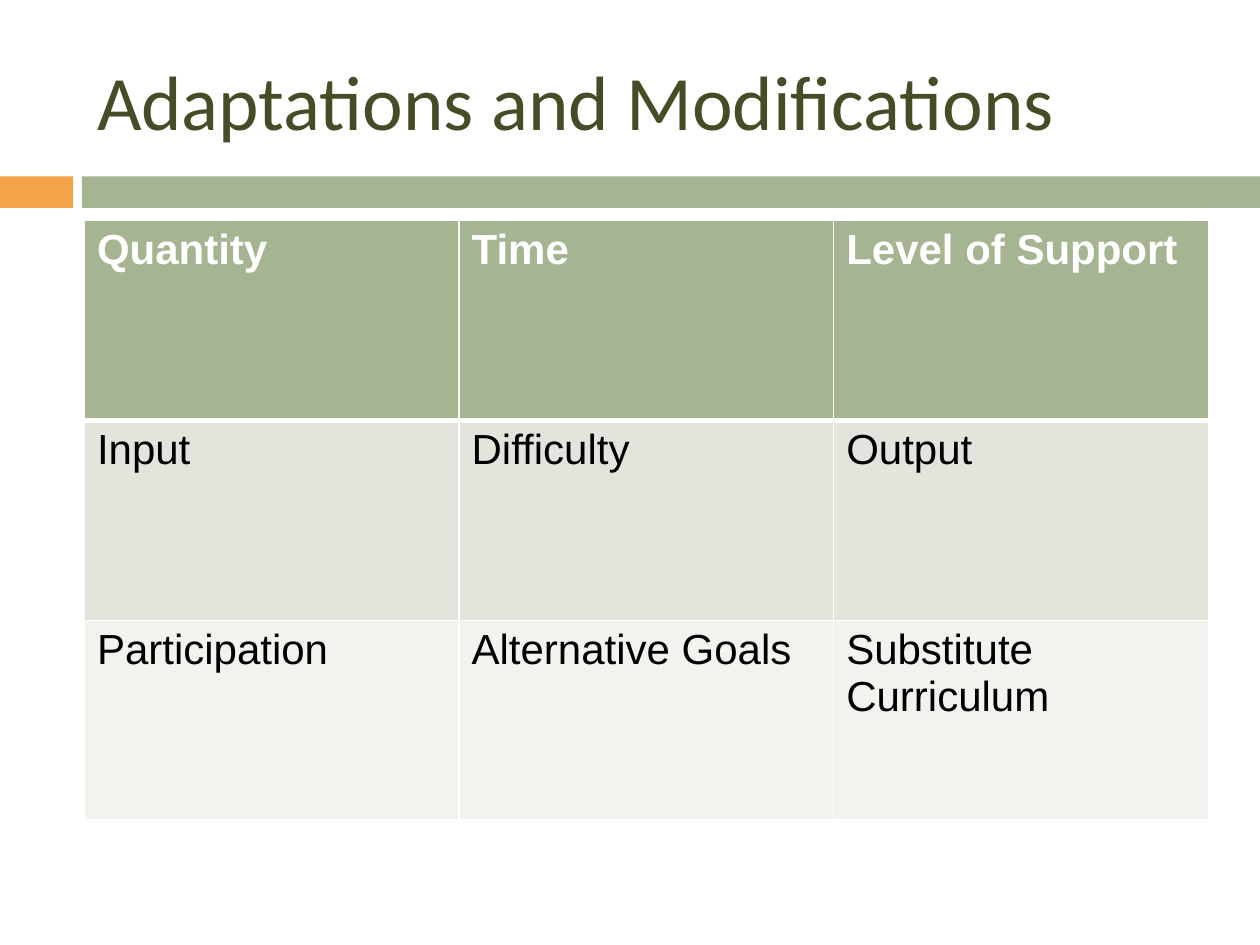
from dataclasses import dataclass

from lxml import etree
from pptx import Presentation
from pptx import util as u
from pptx.dml.color import RGBColor
from pptx.enum import shapes, text
from pptx.oxml.ns import qn


@dataclass(frozen=True)
class Theme:
    title: str = "444D26"
    accent: str = "F3A447"
    main: str = "A5B592"
    bands: tuple = ("E1E5DC", "F0F3EE")
    light: str = "FFFFFF"
    dark: str = "000000"
    head_font: str = "Calibri"
    body_font: str = "Arial"
    head_size: int = 44
    body_size: int = 24


class Deck:
    """Holds the theme and the current slide."""

    def __init__(self, theme):
        self.theme = theme
        self.prs = Presentation()
        self.prs.slide_width, self.prs.slide_height = u.Inches(10), u.Inches(7.5)
        self.slide = self.prs.slides.add_slide(self.prs.slide_layouts[5])

    def style(self, frame, font, size, color, bold=False):
        for para in frame.paragraphs:
            para.alignment = text.PP_ALIGN.LEFT
            for run in para.runs:
                run.font.name, run.font.size = font, u.Pt(size)
                run.font.bold = bold
                run.font.color.rgb = RGBColor.from_string(color)

    def bar(self, left, top, width, height, color):
        box = self.slide.shapes.add_shape(
            shapes.MSO_SHAPE.RECTANGLE,
            *map(u.Inches, (left, top, width, height)))
        box.shadow.inherit = False
        box.fill.solid()
        box.fill.fore_color.rgb = RGBColor.from_string(color)
        box.line.fill.background()

    def title(self, words, left, top, width, height):
        box = self.slide.shapes.title
        box.left, box.top, box.width, box.height = map(
            u.Inches, (left, top, width, height))
        frame = box.text_frame
        frame.text = words
        frame.auto_size = text.MSO_AUTO_SIZE.NONE
        frame.vertical_anchor = text.MSO_ANCHOR.MIDDLE
        t = self.theme
        self.style(frame, t.head_font, t.head_size, t.title)

    def border(self, cell, side, points):
        props = cell._tc.get_or_add_tcPr()
        line = etree.SubElement(props, qn(f"a:ln{side}"), w=str(u.Pt(points)))
        fill = etree.SubElement(line, qn("a:solidFill"))
        etree.SubElement(fill, qn("a:srgbClr"), val=self.theme.light)

    def table(self, rows, left, top, width, height):
        t = self.theme
        grid = self.slide.shapes.add_table(
            len(rows), len(rows[0]),
            *map(u.Inches, (left, top, width, height))).table
        for i, row in enumerate(rows):
            head = i == 0
            color = t.main if head else t.bands[(i - 1) % len(t.bands)]
            for j, words in enumerate(row):
                cell = grid.cell(i, j)
                # A thick rule parts the header from the body
                widths = {"L": 1, "R": 1, "T": 3 if i == 1 else 1,
                          "B": 3 if head else 1}
                for side, points in widths.items():
                    self.border(cell, side, points)
                cell.fill.solid()
                cell.fill.fore_color.rgb = RGBColor.from_string(color)
                cell.text_frame.text = words
                self.style(cell.text_frame, t.body_font, t.body_size,
                           t.light if head else t.dark, head)

    def save(self):
        self.prs.save("out.pptx")


def main():
    theme = Theme()
    deck = Deck(theme)

    # Divider bars
    deck.bar(0, 1.4, 0.58, 0.25, theme.accent)
    deck.bar(0.65, 1.4, 9.35, 0.25, theme.main)

    # Title
    deck.title("Adaptations and Modifications", 0.67, 0.25, 8.92, 1.08)

    # Nine types of adaptation
    deck.table([
        ("Quantity", "Time", "Level of Support"),
        ("Input", "Difficulty", "Output"),
        ("Participation", "Alternative Goals", "Substitute Curriculum"),
    ], 0.67, 1.75, 8.92, 4.76)

    deck.save()


if __name__ == "__main__":
    main()
